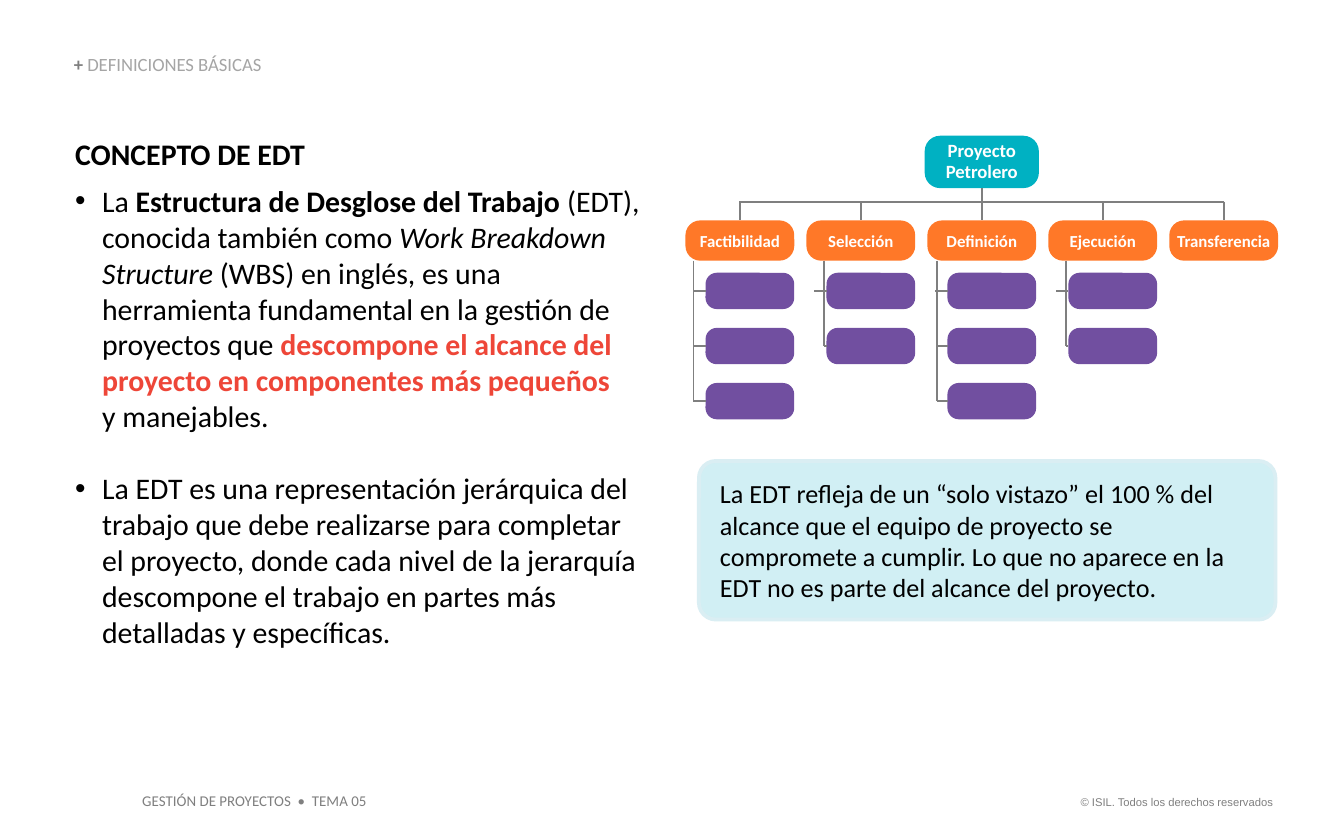
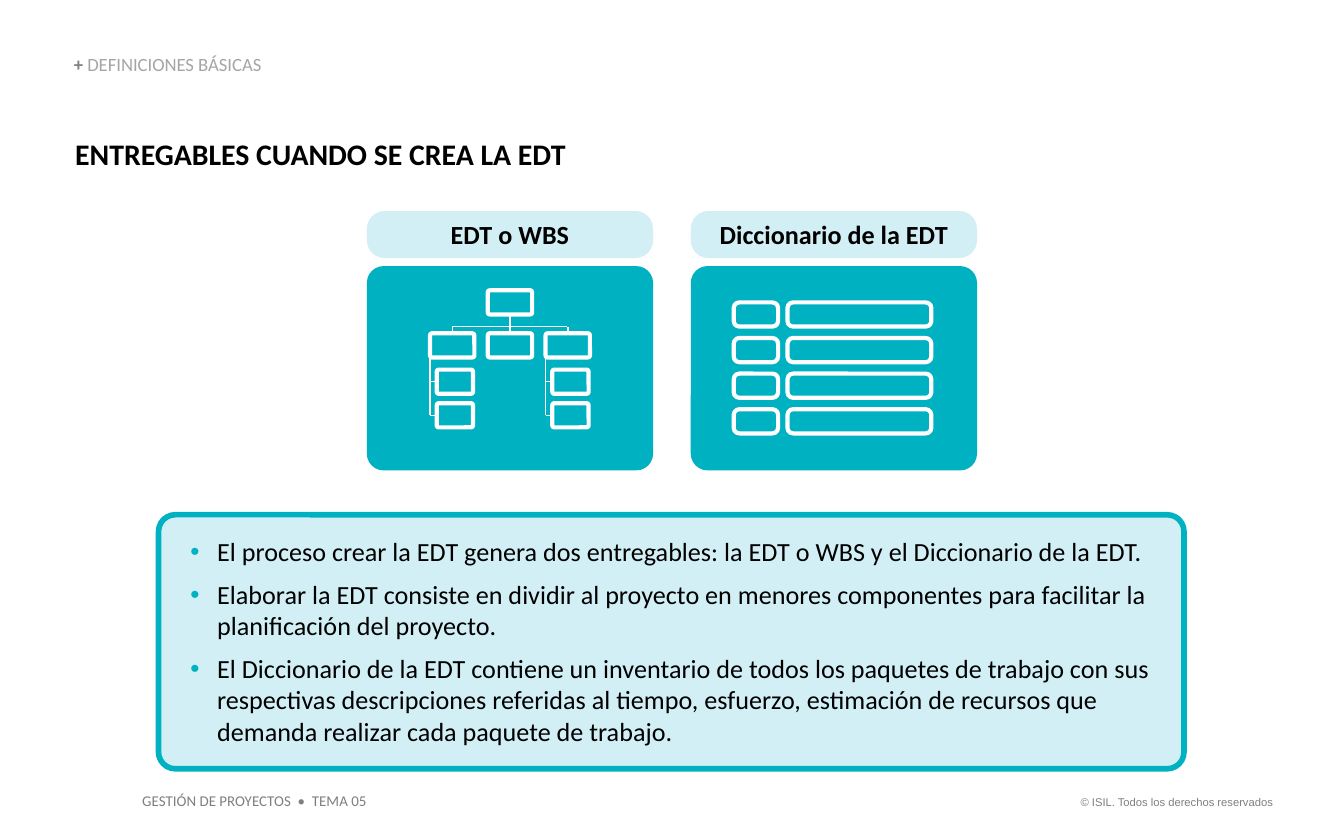
from lxml import etree
from pptx import Presentation
from pptx.dml.color import RGBColor
from pptx.enum.shapes import MSO_CONNECTOR, MSO_SHAPE
from pptx.enum.text import MSO_ANCHOR, PP_ALIGN
from pptx.oxml.ns import qn
from pptx.util import Inches, Pt

BLACK = RGBColor(0x00, 0x00, 0x00)
WHITE = RGBColor(0xFF, 0xFF, 0xFF)
GRAY = RGBColor(0x7F, 0x7F, 0x7F)
LIGHT_GRAY = RGBColor(0xA5, 0xA5, 0xA5)
RED = RGBColor(0xEE, 0x46, 0x38)
ORANGE = RGBColor(0xFF, 0x78, 0x28)
PURPLE = RGBColor(0x71, 0x4F, 0xA0)
TEAL = RGBColor(0x00, 0xB1, 0xC2)
PALE_TEAL = RGBColor(0xD1, 0xEF, 0xF4)
PALE_EDGE = RGBColor(0xDA, 0xEE, 0xF3)


def add_box(shapes, at, paragraphs=(), radius=None, fill=None, line=None, line_width=1,
            size=14, color=BLACK, bold=False, font="Calibri", align=PP_ALIGN.LEFT,
            anchor=MSO_ANCHOR.MIDDLE, insets=(0, 0, 0, 0), line_spacing=None):
    """Add a rounded box, or a text box without radius.

    Each paragraph is (space before, bullet colour, runs); each run is (text, font changes).
    """
    place = [Inches(length) for length in at]
    if radius is None:
        box = shapes.add_textbox(*place)
    else:
        box = shapes.add_shape(MSO_SHAPE.ROUNDED_RECTANGLE, *place)
        box.adjustments[0] = radius
        box.shadow.inherit = False
        if fill is None:
            box.fill.background()
        else:
            box.fill.solid()
            box.fill.fore_color.rgb = fill
        if line is None:
            box.line.fill.background()
        else:
            box.line.color.rgb = line
            box.line.width = Pt(line_width)

    frame = box.text_frame
    frame.word_wrap = True
    frame.vertical_anchor = anchor
    (frame.margin_left, frame.margin_top,
     frame.margin_right, frame.margin_bottom) = [Inches(inset) for inset in insets]
    for number, (space_before, bullet_color, runs) in enumerate(paragraphs):
        paragraph = frame.add_paragraph() if number else frame.paragraphs[0]
        paragraph.alignment = align
        if space_before:
            paragraph.space_before = Pt(space_before)
        if line_spacing:
            paragraph.line_spacing = line_spacing
        if bullet_color is not None:
            properties = paragraph._p.get_or_add_pPr()
            properties.set("marL", str(Inches(0.2)))
            properties.set("indent", str(Inches(-0.2)))
            bullet = etree.SubElement(properties, qn("a:buClr"))
            etree.SubElement(bullet, qn("a:srgbClr"), val=str(bullet_color))
            etree.SubElement(properties, qn("a:buFont"), typeface="Arial")
            etree.SubElement(properties, qn("a:buChar"), char="•")
        for text, changes in runs:
            if text == "\n":
                paragraph.add_line_break()
                continue
            run = paragraph.add_run()
            run.text = text
            run.font.name = font
            run.font.size = Pt(size)
            run.font.bold = changes.get("bold", bold)
            run.font.italic = changes.get("italic", False)
            run.font.color.rgb = changes.get("color", color)
    return box


def add_line(shapes, start, end, color, width, begin=None, finish=None):
    """Add a straight line; begin and finish are (box, side) pairs to join."""
    line = shapes.add_connector(MSO_CONNECTOR.STRAIGHT, *[Inches(v) for v in (*start, *end)])
    line.line.color.rgb = color
    line.line.width = Pt(width)
    etree.SubElement(line._element.spPr, qn("a:effectLst"))
    if begin:
        line.begin_connect(*begin)
    if finish:
        line.end_connect(*finish)


prs = Presentation()
prs.slide_width = Inches(10)
prs.slide_height = Inches(6.25)
concept = prs.slides.add_slide(prs.slide_layouts[6])
deliverables = prs.slides.add_slide(prs.slide_layouts[6])

# Section heading and footers on both slides
for slide in (concept, deliverables):
    add_box(slide.shapes, (7.91, 5.87, 1.66, 0.2),
            [(0, None, [("© ISIL. Todos los derechos reservados", {})])],
            size=6, color=GRAY, font="Arial", align=PP_ALIGN.RIGHT,
            anchor=MSO_ANCHOR.TOP, insets=(0.1, 0.05, 0.1, 0.05))
    add_box(slide.shapes, (0.96, 5.84, 1.9, 0.24),
            [(0, None, [("GESTIÓN DE PROYECTOS  •  TEMA 05", {})])],
            size=8, color=GRAY, anchor=MSO_ANCHOR.TOP, insets=(0.1, 0.05, 0.1, 0.05))
    add_box(slide.shapes, (0.55, 0.41, 2.66, 0.15),
            [(0, None, [("+ ", {"bold": True, "color": GRAY}), ("DEFINICIONES BÁSICAS", {})])],
            size=10, color=LIGHT_GRAY, anchor=MSO_ANCHOR.BOTTOM, line_spacing=0.9)

# Slide 1: definition of the EDT
add_box(concept.shapes, (0.56, 1.01, 4.25, 3.85), [
    (0, None, [("CONCEPTO DE EDT", {"bold": True})]),
    (6, BLACK, [
        ("La ", {}),
        ("Estructura de Desglose del Trabajo ", {"bold": True}),
        ("(EDT), conocida también como ", {}),
        ("Work Breakdown Structure ", {"italic": True}),
        ("(WBS) en inglés, es una herramienta fundamental en la gestión de proyectos que ", {}),
        ("descompone el alcance del proyecto en componentes más pequeños",
         {"bold": True, "color": RED}),
        ("\n", {}),
        ("y manejables.", {}),
    ]),
    (19.5, BLACK, [
        ("La EDT es una representación jerárquica del trabajo que debe realizarse para "
         "completar el proyecto, donde cada nivel de la jerarquía descompone el trabajo "
         "en partes más detalladas y específicas.", {}),
    ]),
], size=16, anchor=MSO_ANCHOR.TOP)

add_box(concept.shapes, (5.2, 3.43, 4.29, 1.18), [
    (0, None, [("La EDT refleja de un “solo vistazo” el 100 % del alcance que el equipo de "
                "proyecto se compromete a cumplir. Lo que no aparece en la EDT no es parte "
                "del alcance del proyecto.", {})]),
], radius=0.107, fill=PALE_TEAL, line=PALE_EDGE, line_width=2, insets=(0.12, 0, 0.24, 0))

# Project tree: root, phases and work packages
tree = concept.shapes.add_group_shape().shapes
root = add_box(tree, (6.88, 1.01, 0.85, 0.39), [(0, None, [("Proyecto Petrolero", {})])],
               radius=0.295, fill=TEAL, size=10, color=WHITE, bold=True,
               align=PP_ALIGN.CENTER, line_spacing=0.9)
# Phase, number of packages, gap between trunk and packages
phases = [("Factibilidad", 3, 0.09), ("Selección", 2, 0.02), ("Definición", 3, 0.08),
          ("Ejecución", 2, 0.02), ("Transferencia", 0, 0)]
bus_y = 1.5
add_line(tree, (5.5, bus_y), (9.11, bus_y), GRAY, 1)
for column, (name, packages, gap) in enumerate(phases):
    left = 5.1 + 0.9 * column
    center = left + 0.405
    phase = add_box(tree, (left, 1.64, 0.81, 0.3), [(0, None, [(name, {})])],
                    radius=0.368, fill=ORANGE, size=9, color=WHITE, bold=True,
                    align=PP_ALIGN.CENTER)
    add_line(tree, (center, bus_y), (center, 1.64), GRAY, 1,
             begin=(root, 2) if name == "Definición" else None, finish=(phase, 0))
    package_left = left + 0.15
    trunk = package_left - gap
    for row in range(packages):
        top = 2.03 + 0.41 * row
        middle = top + 0.135
        package = add_box(tree, (package_left, top, 0.66, 0.27), radius=0.31, fill=PURPLE)
        tick_start = trunk if row else package_left - 0.09
        add_line(tree, (tick_start, middle), (package_left, middle), GRAY, 1,
                 finish=(package, 1))
    if packages:
        add_line(tree, (trunk, 1.94), (trunk, middle), GRAY, 1)

# Slide 2: title and the two deliverables
add_box(deliverables.shapes, (0.56, 1.01, 8.06, 0.27),
        [(0, None, [("ENTREGABLES CUANDO SE CREA LA EDT", {})])],
        size=16, bold=True, anchor=MSO_ANCHOR.TOP)
cards = []
for left, name in ((2.73, "EDT o WBS"), (5.14, "Diccionario de la EDT")):
    card = deliverables.shapes.add_group_shape().shapes
    add_box(card, (left, 1.57, 2.13, 0.35), [(0, None, [(name, {})])], radius=0.376,
            fill=PALE_TEAL, bold=True, align=PP_ALIGN.CENTER, insets=(0.1, 0.05, 0.1, 0.05))
    add_box(card, (left, 1.98, 2.13, 1.52), radius=0.082, fill=TEAL)
    cards.append(card)
wbs, dictionary = cards

# Small tree icon
icon_root = add_box(wbs, (3.63, 2.16, 0.33, 0.18), radius=0.082, line=WHITE, line_width=2.25)
add_line(wbs, (3.36, 2.43), (4.22, 2.43), WHITE, 0.75)
for column, children in enumerate((2, 0, 2)):
    left = 3.2 + 0.43 * column
    center = left + 0.165
    branch = add_box(wbs, (left, 2.48, 0.33, 0.18), radius=0.082, line=WHITE, line_width=2.25)
    add_line(wbs, (center, 2.43), (center, 2.48), WHITE, 0.75,
             begin=(icon_root, 2) if column == 1 else None, finish=(branch, 0))
    for row in range(children):
        top = 2.75 + 0.25 * row
        child = add_box(wbs, (left + 0.05, top, 0.27, 0.18), radius=0.082,
                        fill=TEAL, line=WHITE, line_width=2.25)
        add_line(wbs, (left, top + 0.09), (left + 0.05, top + 0.09), WHITE, 0.75,
                 finish=(child, 1))
    if children:
        add_line(wbs, (left, 2.57), (left, 3.09), WHITE, 0.75, begin=(branch, 1))

# Dictionary icon: four rows of term and description
for row in range(4):
    for left, width in ((5.46, 0.33), (5.86, 1.07)):
        add_box(dictionary, (left, 2.25 + 0.265 * row, width, 0.18), radius=0.234,
                line=WHITE, line_width=2.25)

# Explanation panel
points = [
    "El proceso crear la EDT genera dos entregables: la EDT o WBS y el Diccionario de la EDT.",
    "Elaborar la EDT consiste en dividir al proyecto en menores componentes para facilitar la "
    "planificación del proyecto.",
    "El Diccionario de la EDT contiene un inventario de todos los paquetes de trabajo con sus "
    "respectivas descripciones referidas al tiempo, esfuerzo, estimación de recursos que "
    "demanda realizar cada paquete de trabajo.",
]
add_box(deliverables.shapes, (1.18, 3.83, 7.63, 1.89),
        [(6 if number else 0, TEAL, [(point, {})]) for number, point in enumerate(points)],
        radius=0.066, fill=PALE_TEAL, line=TEAL, line_width=3, insets=(0.2, 0.04, 0.04, 0.05))

prs.save("out.pptx")
